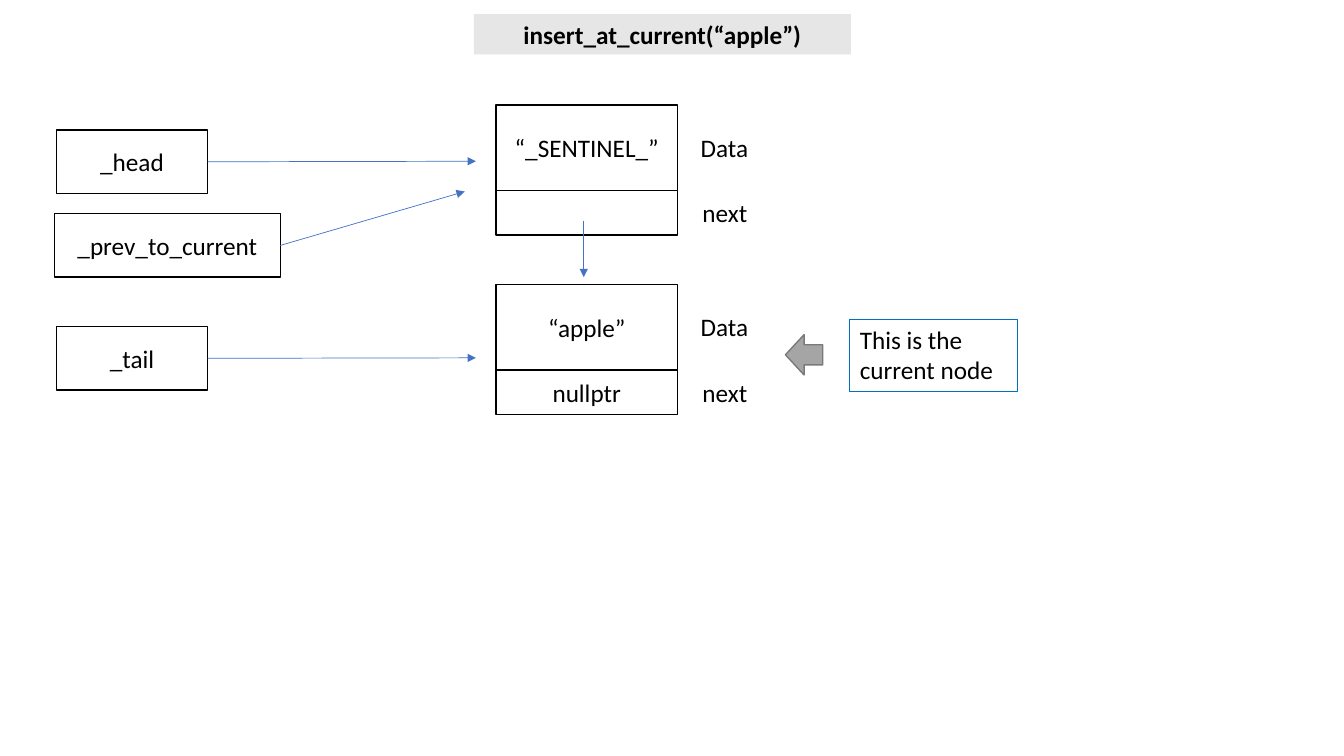
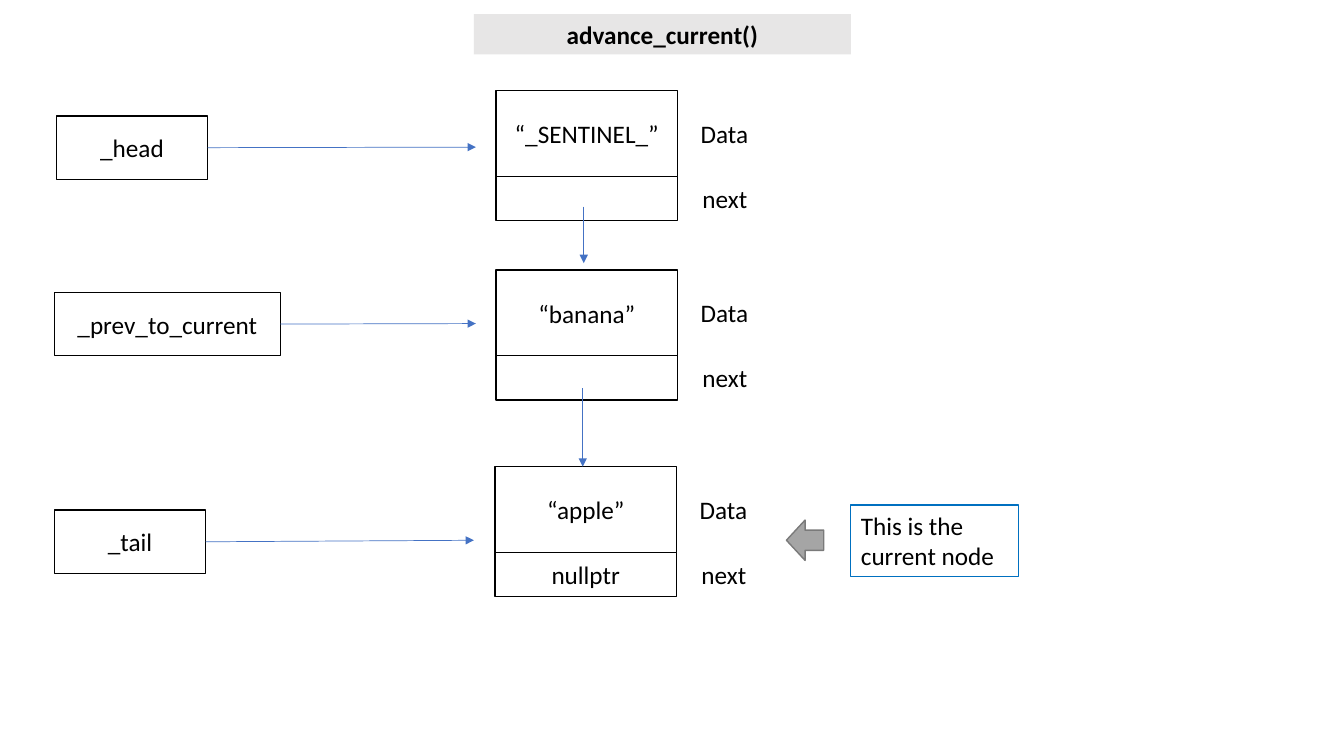
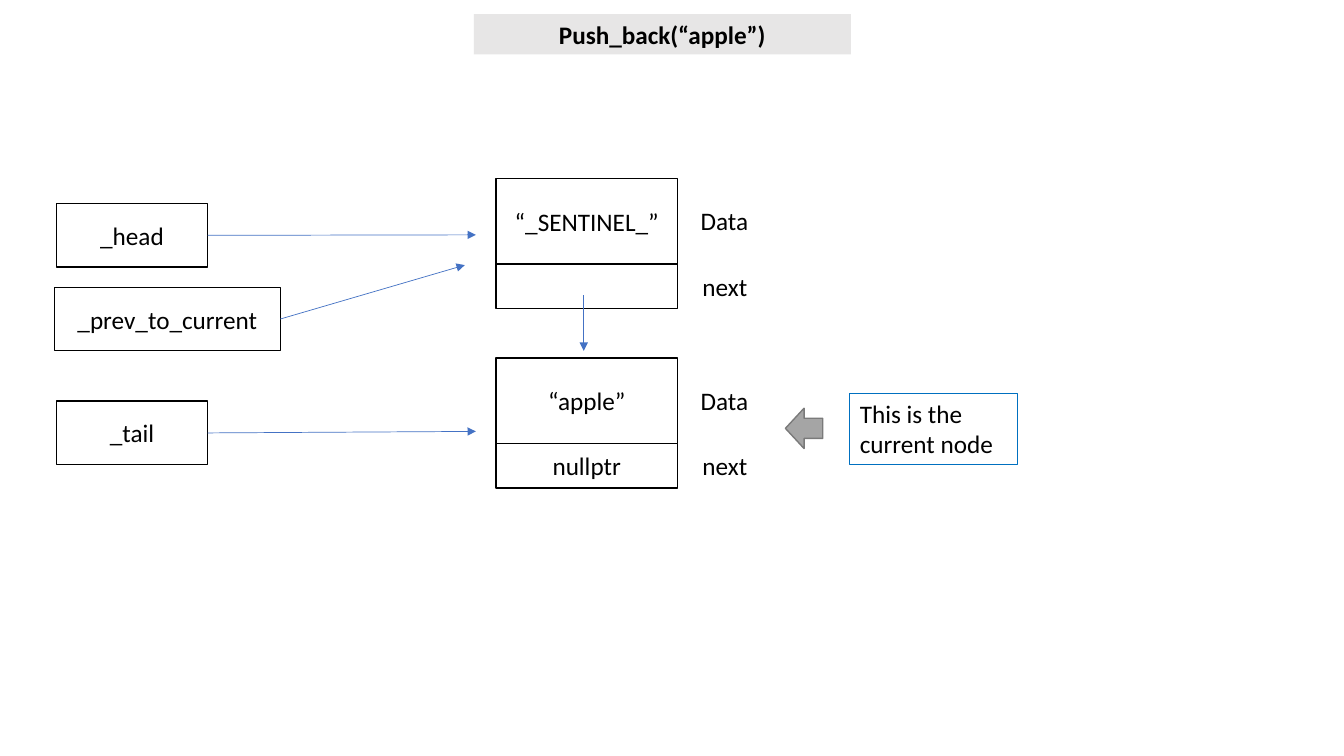
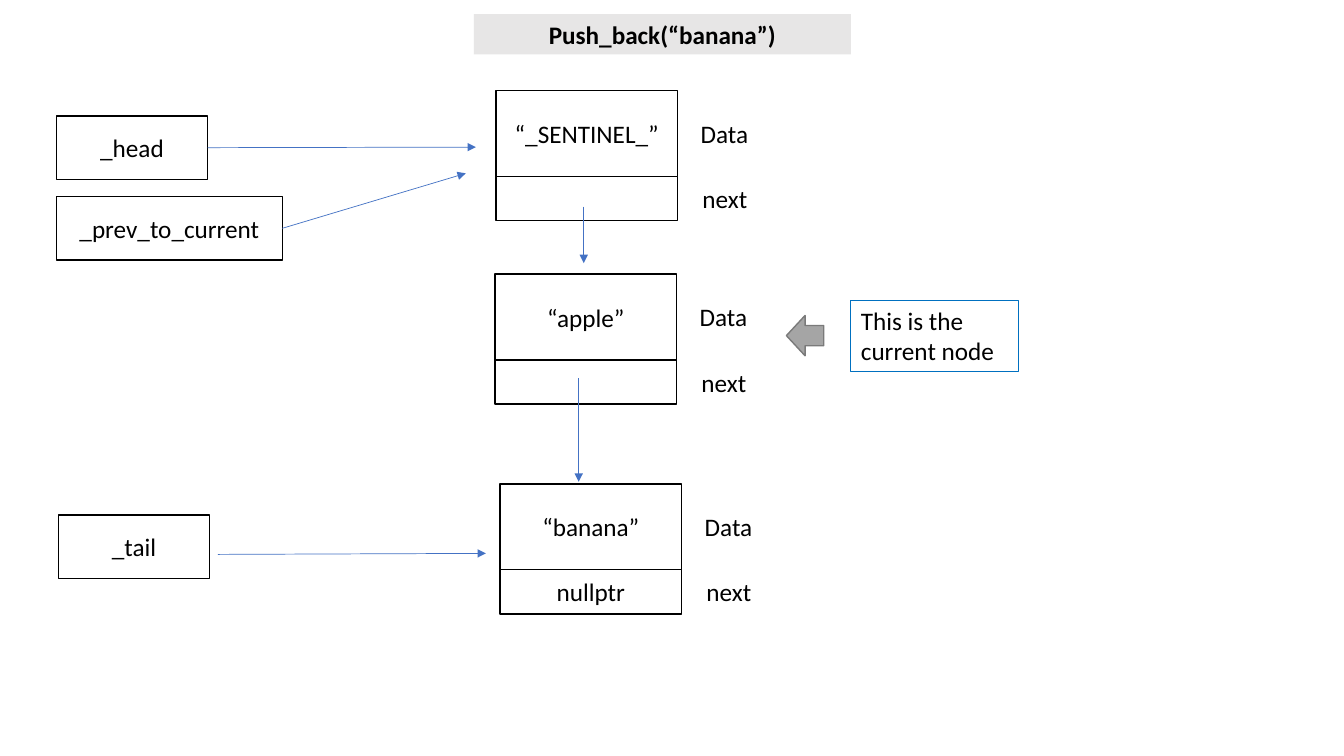
from lxml import etree
from pptx import Presentation
from pptx.dml.color import RGBColor
from pptx.enum.shapes import MSO_CONNECTOR, MSO_SHAPE
from pptx.enum.text import MSO_ANCHOR, MSO_AUTO_SIZE, PP_ALIGN
from pptx.oxml.ns import qn
from pptx.util import Inches, Pt

RECTANGLE = MSO_SHAPE.RECTANGLE
LEFT_ARROW = MSO_SHAPE.LEFT_ARROW
STRAIGHT = MSO_CONNECTOR.STRAIGHT
LEFT, CENTER = PP_ALIGN.LEFT, PP_ALIGN.CENTER
TOP, MIDDLE = MSO_ANCHOR.TOP, MSO_ANCHOR.MIDDLE
NO_AUTOFIT = MSO_AUTO_SIZE.NONE
RIGHT_SIDE = 3
TITLE_ONLY = 5

FONT = "Calibri"
COLORS = {
    "ink": "000000",
    "paper": "FFFFFF",
    "title_band": "E7E6E6",
    "link": "4472C4",
    "marker": "A5A5A5",
    "marker_edge": "7A7A7A",
    "callout_edge": "0070C0",
}

NODE_WIDTH, DATA_HEIGHT, NEXT_HEIGHT = 1.8, 0.85, 0.44
LABEL_HEIGHT = 0.4
POINTER_HEIGHT = 0.63
POINTER_WIDTHS = {"_head": 1.5, "_prev_to_current": 2.24, "_tail": 1.5}

# nodes: data, next, left, top
# pointers: name, left, top, arrow end
# links: from, to
# current: left and top of the callout
DIAGRAMS = [
    {
        "title": "insert_at_current(“apple”)",
        "nodes": [("“_SENTINEL_”", "", 4.92, 1.04),
                  ("“apple”", "nullptr", 4.92, 2.82)],
        "pointers": [("_head", 0.56, 1.29, (4.72, 1.6)),
                     ("_prev_to_current", 0.54, 2.12, (4.61, 1.9)),
                     ("_tail", 0.56, 3.24, (4.72, 3.55))],
        "links": [((5.79, 2.19), (5.79, 2.75))],
        "current": (8.43, 3.17),
    },
    {
        "title": "advance_current()",
        "nodes": [("“_SENTINEL_”", "", 4.92, 0.9),
                  ("“banana”", "", 4.92, 2.68),
                  ("“apple”", "nullptr", 4.91, 4.63)],
        "pointers": [("_head", 0.56, 1.15, (4.72, 1.46)),
                     ("_prev_to_current", 0.54, 2.9, (4.72, 3.21)),
                     ("_tail", 0.54, 5.06, (4.7, 5.36))],
        "links": [((5.79, 2.05), (5.79, 2.61)),
                  ((5.78, 3.85), (5.78, 4.63))],
        "current": (8.44, 5.01),
    },
    {
        "title": "Push_back(“apple”)",
        "nodes": [("“_SENTINEL_”", "", 4.92, 1.77),
                  ("“apple”", "nullptr", 4.92, 3.55)],
        "pointers": [("_head", 0.56, 2.02, (4.72, 2.33)),
                     ("_prev_to_current", 0.54, 2.85, (4.61, 2.63)),
                     ("_tail", 0.56, 3.98, (4.72, 4.28))],
        "links": [((5.79, 2.93), (5.79, 3.48))],
        "current": (8.43, 3.9),
    },
    {
        "title": "Push_back(“banana”)",
        "nodes": [("“_SENTINEL_”", "", 4.92, 0.9),
                  ("“apple”", "", 4.91, 2.72),
                  ("“banana”", "nullptr", 4.96, 4.8)],
        "pointers": [("_head", 0.56, 1.15, (4.72, 1.46)),
                     ("_prev_to_current", 0.56, 1.95, (4.62, 1.72)),
                     ("_tail", 0.58, 5.11, None)],
        "links": [((5.79, 2.05), (5.79, 2.61)),
                  ((5.74, 3.75), (5.74, 4.78)),
                  ((2.16, 5.5), (4.82, 5.49))],
        "current": (8.44, 2.98),
    },
]


def color(name):
    return RGBColor.from_string(COLORS[name])


def write(shape, text, align=CENTER, anchor=MIDDLE, bold=False):
    frame = shape.text_frame
    frame.text = text
    frame.word_wrap = True
    frame.auto_size = NO_AUTOFIT
    frame.vertical_anchor = anchor
    paragraph = frame.paragraphs[0]
    paragraph.alignment = align
    for run in paragraph.runs:
        run.font.name = FONT
        run.font.size = Pt(18)
        run.font.bold = bold
        run.font.color.rgb = color("ink")


def add_title(slide, text):
    title = slide.shapes.title
    title.left, title.top = Inches(4.7), Inches(0.14)
    title.width, title.height = Inches(3.74), Inches(0.4)
    title.fill.solid()
    title.fill.fore_color.rgb = color("title_band")
    write(title, text, anchor=TOP, bold=True)


def add_outlined(shapes, kind, left, top, width, height, fill="paper", edge="ink"):
    shape = shapes.add_shape(kind, Inches(left), Inches(top), Inches(width), Inches(height))
    shape.shadow.inherit = False
    shape.fill.solid()
    shape.fill.fore_color.rgb = color(fill)
    shape.line.color.rgb = color(edge)
    shape.line.width = Pt(1)
    return shape


def add_text(slide, text, left, top, width, height, align=CENTER):
    box = slide.shapes.add_textbox(Inches(left), Inches(top), Inches(width), Inches(height))
    write(box, text, align, TOP)
    return box


def add_node(slide, data, next_value, left, top):
    """Draw a node's two grouped fields and the labels beside them."""
    fields = slide.shapes.add_group_shape().shapes
    data_field = add_outlined(fields, RECTANGLE, left, top, NODE_WIDTH, DATA_HEIGHT)
    write(data_field, data)
    next_field = add_outlined(fields, RECTANGLE, left, top + DATA_HEIGHT, NODE_WIDTH, NEXT_HEIGHT)
    if next_value:
        write(next_field, next_value)
    add_text(slide, "Data", left + 1.59, top + 0.22, 1.35, LABEL_HEIGHT)
    add_text(slide, "next", left + 1.37, top + 0.87, 1.8, LABEL_HEIGHT)


def add_arrow(slide, start, end):
    arrow = slide.shapes.add_connector(STRAIGHT, *map(Inches, start + end))
    arrow.line.color.rgb = color("link")
    arrow.line.width = Pt(0.5)
    etree.SubElement(arrow.line._get_or_add_ln(), qn("a:tailEnd"), type="triangle")
    etree.SubElement(arrow._element.spPr, qn("a:effectLst"))
    return arrow


def add_pointer(slide, name, left, top, target):
    """Draw a named pointer box and, if it has a target, a joined arrow."""
    width = POINTER_WIDTHS[name]
    pointer = add_outlined(slide.shapes, RECTANGLE, left, top, width, POINTER_HEIGHT)
    write(pointer, name)
    if target:
        arrow = add_arrow(slide, (left + width, top + POINTER_HEIGHT / 2), target)
        arrow.begin_connect(pointer, RIGHT_SIDE)


def add_current_callout(slide, left, top):
    add_outlined(slide.shapes, LEFT_ARROW, left - 0.64, top + 0.15, 0.37, 0.4,
                 "marker", "marker_edge")
    callout = add_text(slide, "This is the current node", left, top, 1.66, 0.71, LEFT)
    callout.line.color.rgb = color("callout_edge")
    callout.line.width = Pt(0.75)


def add_diagram(slide, diagram):
    add_title(slide, diagram["title"])
    for node in diagram["nodes"]:
        add_node(slide, *node)
    for pointer in diagram["pointers"]:
        add_pointer(slide, *pointer)
    for start, end in diagram["links"]:
        add_arrow(slide, start, end)
    add_current_callout(slide, *diagram["current"])


def main():
    deck = Presentation()
    deck.slide_width, deck.slide_height = Inches(13.33), Inches(7.5)
    for diagram in DIAGRAMS:
        add_diagram(deck.slides.add_slide(deck.slide_layouts[TITLE_ONLY]), diagram)
    deck.save("out.pptx")


if __name__ == "__main__":
    main()
